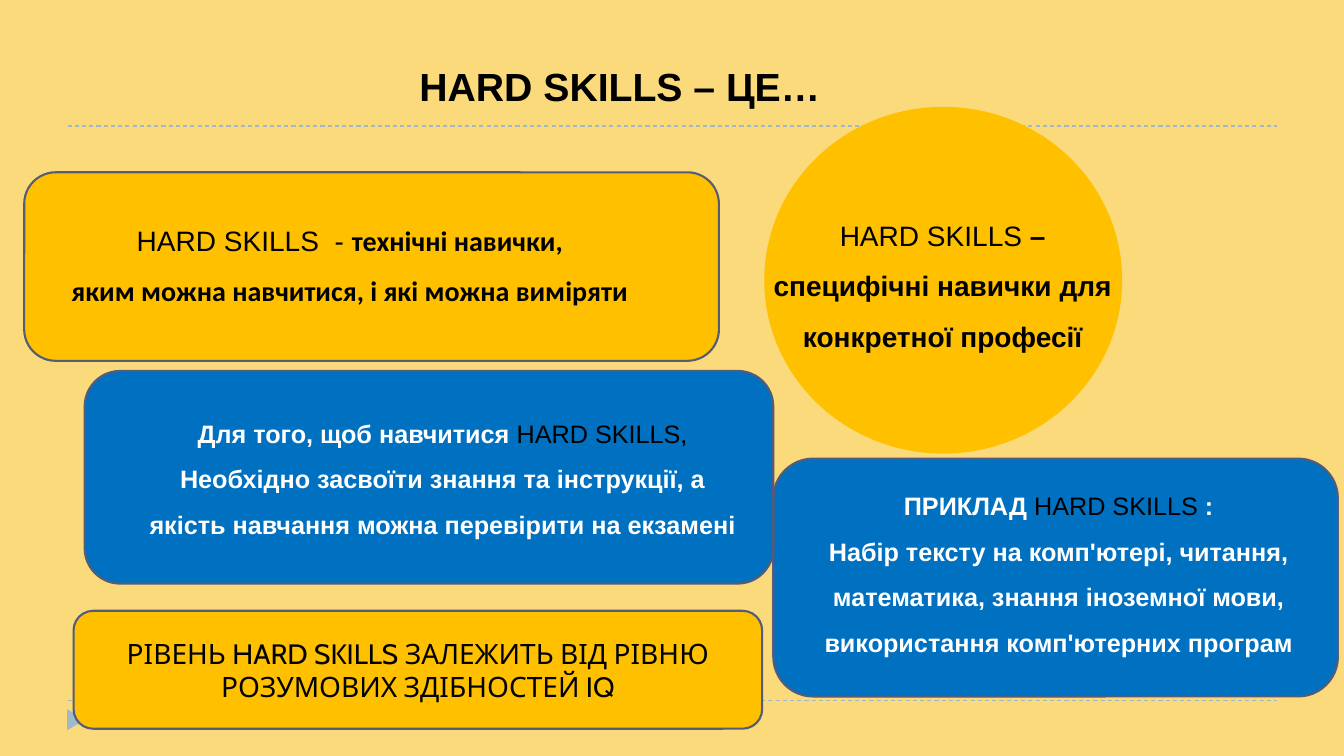
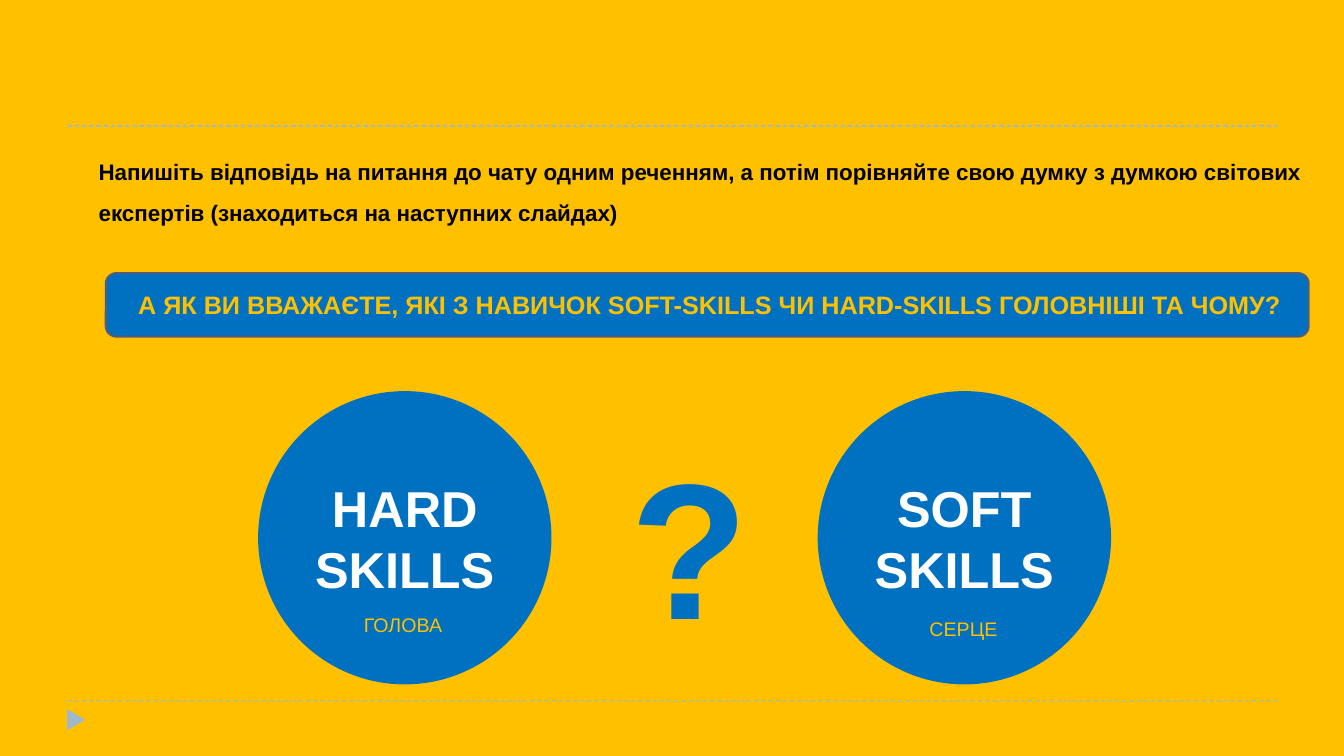
from lxml import etree
from pptx import Presentation
from pptx.dml.color import RGBColor
from pptx.enum import dml, shapes, text
from pptx.oxml import ns
from pptx.util import Inches, Pt

BLACK, WHITE = "000000", "FFFFFF"
SAND, AMBER, BLUE = "FADA7A", "FFC000", "0070C0"
EDGE, MIST = "545C79", "9FB8CD"
LEFT, CENTER = text.PP_ALIGN.LEFT, text.PP_ALIGN.CENTER
TOP, MIDDLE = text.MSO_ANCHOR.TOP, text.MSO_ANCHOR.MIDDLE
ROUNDED, OVAL = shapes.MSO_SHAPE.ROUNDED_RECTANGLE, shapes.MSO_SHAPE.OVAL


def tint(fill, value):
    fill.solid()
    fill.fore_color.rgb = RGBColor.from_string(value)


def write(box, lines, size, align=LEFT, spacing=1.0, wrap=False, anchor=TOP):
    frame = box.text_frame
    frame.word_wrap = wrap
    frame.vertical_anchor = anchor
    if anchor == TOP:
        frame.auto_size = text.MSO_AUTO_SIZE.SHAPE_TO_FIT_TEXT
    for index, line in enumerate(lines):
        para = frame.add_paragraph() if index else frame.paragraphs[0]
        para.alignment = align
        para.line_spacing = spacing
        for words, value, bold, *face in line:
            span = para.add_run()
            span.text = words
            span.font.name = face[0] if face else "Arial"
            span.font.size = Pt(size)
            span.font.bold = bold
            tint(span.font.fill, value)


slides = [
    {
        "background": SAND,
        "title": ("HARD SKILLS – ЦЕ…", BLACK, 28, False, (4.06, 0.57, 4.22, 0.57)),
        "forms": [
            (ROUNDED, (0.24, 1.71, 6.89, 1.87), AMBER, [], 20),
            (ROUNDED, (7.67, 4.55, 5.6, 2.36), BLUE, [], 18),
            (ROUNDED, (0.84, 3.68, 6.83, 2.11), BLUE, [], 18),
            (OVAL, (7.58, 1.06, 3.55, 3.44), AMBER, [], 20),
            (ROUNDED, (0.73, 6.06, 6.83, 1.17), AMBER, [
                [("РІВЕНЬ HARD SKILLS ЗАЛЕЖИТЬ ВІД РІВНЮ РОЗУМОВИХ ЗДІБНОСТЕЙ IQ",
                  BLACK, False, "Cabin")],
            ], 20),
        ],
        "texts": [
            ((8.03, 4.67, 4.94, 1.86), 18, CENTER, 1.5, [
                [("ПРИКЛАД ", WHITE, True), ("HARD SKILLS ", BLACK, False), (":", WHITE, True)],
                [("Набір тексту на комп'ютері, читання,", WHITE, True)],
                [("математика, знання іноземної мови,", WHITE, True)],
                [("використання комп'ютерних програм", WHITE, True)],
            ]),
            ((7.56, 1.95, 3.58, 1.55), 20, CENTER, 1.5, [
                [("HARD SKILLS", BLACK, False), (" –", BLACK, True)],
                [("специфічні навички для", BLACK, True)],
                [("конкретної професії", BLACK, True)],
            ]),
            ((1.29, 3.95, 6.2, 1.41), 18, CENTER, 1.5, [
                [("Для того, щоб навчитися ", WHITE, True), ("HARD SKILLS,", BLACK, False)],
                [("Необхідно засвоїти знання та інструкції, а", WHITE, True)],
                [("якість навчання можна перевірити на екзамені", WHITE, True)],
            ]),
            ((0.5, 2, 5.94, 1.85), 20, CENTER, 1.5, [
                [("HARD SKILLS  - ", BLACK, False), ("технічні навички,", BLACK, True, "Calibri")],
                [("яким можна навчитися, і які можна виміряти", BLACK, True, "Calibri")],
            ]),
        ],
    },
    {
        "background": AMBER,
        "title": ("А ЯК ВИ ВВАЖАЄТЕ, ЯКІ З НАВИЧОК SOFT-SKILLS ЧИ HARD-SKILLS ГОЛОВНІШІ ТА ЧОМУ?",
                  AMBER, 18, True, (1.27, 2.82, 11.71, 0.4)),
        "forms": [
            (ROUNDED, (1.05, 2.71, 11.93, 0.63), BLUE, [], 18),
            *[(OVAL, (left, 3.88, 2.91, 2.91), BLUE,
               [[(kind, WHITE, True)], [("SKILLS", WHITE, True)]], 36)
              for left, kind in ((2.56, "HARD"), (8.11, "SOFT"))],
        ],
        "texts": [
            ((0.88, 1.39, 12.38, 0.86), 16, LEFT, 1.5, [
                [("Напишіть відповідь на питання до чату одним реченням, "
                  "а потім порівняйте свою думку з думкою світових", BLACK, True)],
                [("експертів (знаходиться на наступних слайдах)", BLACK, True)],
            ]),
            ((6.15, 4.18, 1.38, 2.42), 138, LEFT, 1.0, [[("?", BLUE, True)]]),
            ((3.51, 6.03, 1.01, 0.34), 14, LEFT, 1.0, [[("ГОЛОВА", AMBER, False)]]),
            ((9.12, 6.07, 0.88, 0.34), 14, LEFT, 1.0, [[("СЕРЦЕ", AMBER, False)]]),
        ],
    },
]

deck = Presentation()
deck.slide_width, deck.slide_height = Inches(13.33), Inches(7.5)
pages = [deck.slides.add_slide(deck.slide_layouts[5]) for _ in slides]

decor = []
for height in (6.95, 1.25):
    rule = pages[0].shapes.add_connector(
        shapes.MSO_CONNECTOR.STRAIGHT,
        Inches(0.67), Inches(height), Inches(12.67), Inches(height))
    tint(rule.line.fill, MIST)
    rule.line.width = Pt(0.75)
    rule.line.dash_style = dml.MSO_LINE.DASH
    etree.SubElement(rule.element.spPr, ns.qn("a:effectLst"))
    decor.append(rule)

marker = pages[0].shapes.add_shape(
    shapes.MSO_SHAPE.ISOSCELES_TRIANGLE,
    Inches(0.65), Inches(7.05), Inches(0.21), Inches(0.18))
marker.rotation = 90
marker.shadow.inherit = False
tint(marker.fill, MIST)
marker.line.fill.background()
decor.append(marker)

for number, part in enumerate(decor, 101):
    part.element.xpath(".//p:cNvPr")[0].set("id", str(number))
    deck.slide_master.shapes.element.append(part.element)

for page, content in zip(pages, slides):
    tint(page.background.fill, content["background"])

    for preset, place, value, lines, size in content["forms"]:
        form = page.shapes.add_shape(preset, *map(Inches, place))
        form.shadow.inherit = False
        tint(form.fill, value)
        if preset == ROUNDED:
            tint(form.line.fill, EDGE)
            form.line.width = Pt(1.5)
        else:
            form.line.fill.background()
        write(form, lines, size, CENTER, wrap=True, anchor=MIDDLE)

    words, value, size, wrap, place = content["title"]
    title = page.shapes.title
    title.left, title.top, title.width, title.height = map(Inches, place)
    write(title, [[(words, value, True)]], size, wrap=wrap)
    page.shapes.element.append(title.element)

    for place, size, align, spacing, lines in content["texts"]:
        box = page.shapes.add_textbox(*map(Inches, place))
        write(box, lines, size, align, spacing)

deck.save("out.pptx")
